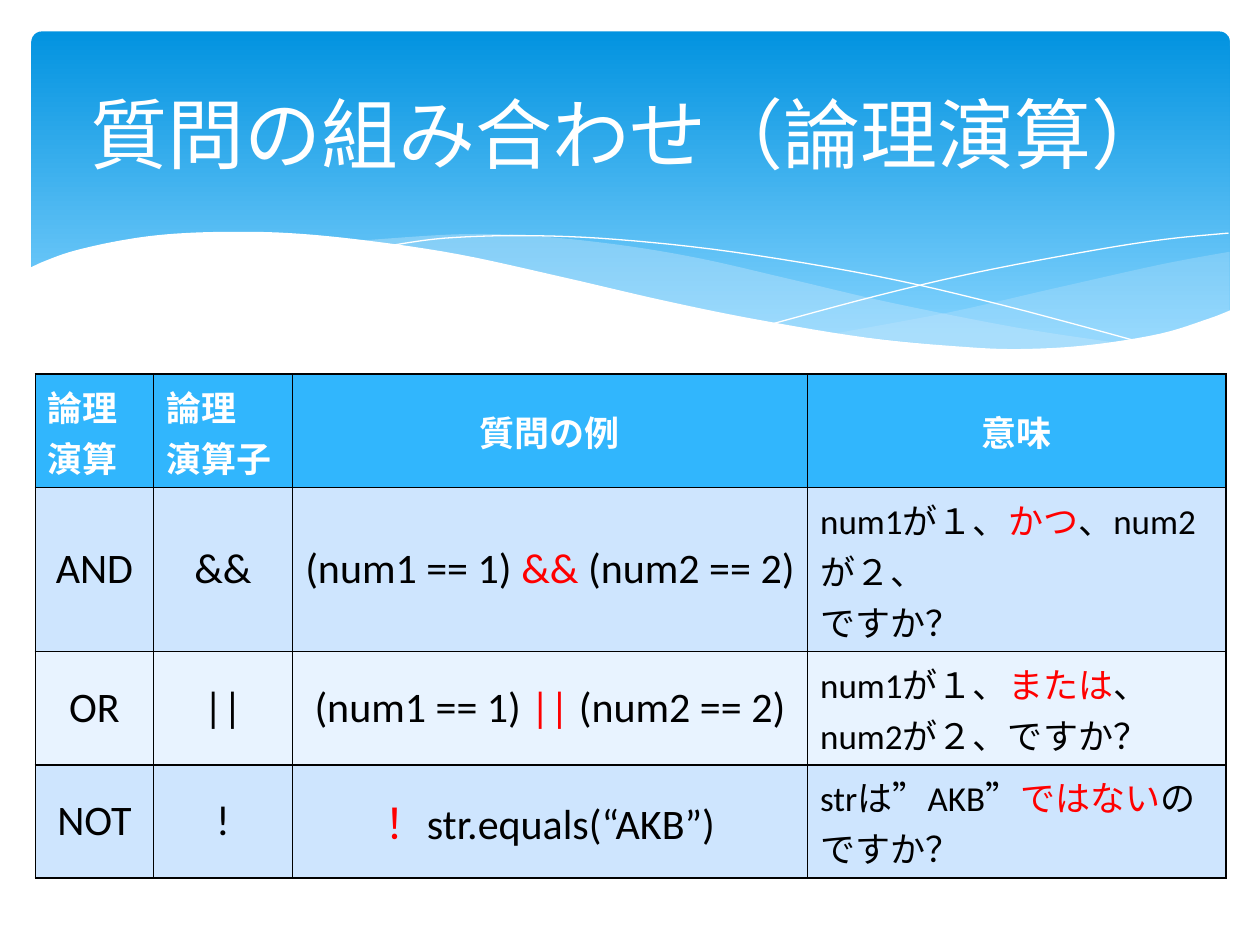
from dataclasses import dataclass
from typing import Optional

from lxml import etree
from pptx import Presentation
from pptx.dml import color
from pptx.enum import shapes, text
from pptx.oxml import ns
from pptx import util as u

PX = 9144
FONT = "Calibri"
WHITE, BLACK, RED = "FFFFFF", "000000", "FF0000"
HEADER, DARK_BAND, LIGHT_BAND = "31B6FD", "CEE5FE", "E8F3FF"
MIST = "C6E7FC"
STEPS = 6

Point = tuple[float, float]
Span = tuple[str, str]


@dataclass
class Wave:
    curves: list[list[Point]]
    fill: Optional[str] = None
    alpha: int = 100


@dataclass
class Entry:
    paras: list[list[Span]]
    size: int
    bold: bool = False
    centred: bool = True
    middle: bool = True


WAVES = [
    Wave([[(975, 200), (921, 210), (832, 230), (753, 248), (661, 265)],
          [(661, 265), (718, 271), (781, 277), (844, 277), (905, 269),
           (942, 259), (976, 247)],
          [(976, 247), (976, 200)]], MIST, 29),
    Wave([[(893, 273), (807, 260), (706, 240), (629, 222), (555, 205),
           (489, 194), (420, 187), (361, 186), (286, 191)],
          [(286, 191), (362, 203), (449, 222), (566, 248), (650, 264),
           (736, 275), (796, 279), (848, 278), (893, 273)]], MIST, 40),
    Wave([[(309, 195), (353, 189), (416, 187), (489, 190), (582, 200),
           (695, 219), (795, 242), (907, 272)]]),
    Wave([[(613, 257), (695, 235), (776, 216), (866, 199), (924, 190),
           (975, 185)]]),
    Wave([[(23, 213), (36, 207), (59, 199), (95, 191), (132, 186),
           (177, 184), (230, 185), (292, 191), (365, 202), (447, 220),
           (529, 239), (603, 254), (688, 268), (761, 275), (809, 277),
           (863, 274), (920, 265), (959, 253), (977, 246)],
          [(977, 246), (977, 329)], [(977, 329), (23, 329)]], WHITE),
]

COLUMNS = [94, 110, 409, 332]
ROWS = [90, 130, 90, 90]
BANDS = [HEADER, DARK_BAND, LIGHT_BAND, DARK_BAND]


def px(length: float) -> int:
    return round(length * PX)


def rgb(code: str) -> color.RGBColor:
    return color.RGBColor.from_string(code)


def smooth(points: list[Point]) -> list[Point]:
    if len(points) == 2:
        return points
    padded = [points[0], *points, points[-1]]
    result = [points[0]]
    for a, b, c, d in zip(padded, padded[1:], padded[2:], padded[3:]):
        for step in range(1, STEPS + 1):
            t = step / STEPS
            x, y = (
                (2 * q + (r - p) * t + (2 * p - 5 * q + 4 * r - s) * t ** 2
                 + (3 * q - p - 3 * r + s) * t ** 3) / 2
                for p, q, r, s in zip(a, b, c, d))
            result.append((x, y))
    return result


def draw_sky(page) -> None:
    sky = page.shapes.add_shape(shapes.MSO_SHAPE.ROUNDED_RECTANGLE,
                                px(25), px(25), px(951), px(270))
    sky.shadow.inherit = False
    sky.adjustments[0] = 0.03
    sky.line.fill.background()
    sky.fill.gradient()
    sky.fill.gradient_angle = 270
    stops = [(0, "0293E0"), (0.9, "83D3FE")]
    for stop, (position, code) in zip(sky.fill.gradient_stops, stops):
        stop.position = position
        stop.color.rgb = rgb(code)


def draw_wave(page, wave: Wave) -> None:
    points = [(px(x), px(y)) for curve in wave.curves for x, y in smooth(curve)]
    builder = page.shapes.build_freeform(*points[0], scale=1.0)
    builder.add_line_segments(points[1:], close=wave.fill is not None)
    shape = builder.convert_to_shape()
    shape.shadow.inherit = False
    if wave.fill is None:
        shape.fill.background()
        shape.line.color.rgb = rgb(WHITE)
        shape.line.width = u.Pt(0)
        return
    shape.line.fill.background()
    shape.fill.solid()
    shape.fill.fore_color.rgb = rgb(wave.fill)
    if wave.alpha < 100:
        tint = shape._element.spPr.find(".//" + ns.qn("a:srgbClr"))
        etree.SubElement(tint, ns.qn("a:alpha"), val=str(wave.alpha * 1000))


def write(frame, entry: Entry) -> None:
    for index, spans in enumerate(entry.paras):
        para = frame.add_paragraph() if index else frame.paragraphs[0]
        para.alignment = (text.PP_ALIGN.CENTER if entry.centred
                          else text.PP_ALIGN.LEFT)
        for words, code in spans:
            span = para.add_run()
            span.text = words
            span.font.name = FONT
            span.font.size = u.Pt(entry.size)
            span.font.bold = entry.bold
            span.font.color.rgb = rgb(code)


def draw_title(page) -> None:
    box = page.shapes.add_textbox(px(50), px(37), px(900), px(137))
    box.text_frame.word_wrap = True
    box.text_frame.vertical_anchor = text.MSO_ANCHOR.MIDDLE
    write(box.text_frame, Entry([[("質問の組み合わせ（論理演算）", WHITE)]], 44))


def heading(*lines: str) -> Entry:
    single = len(lines) == 1
    return Entry([[(line, WHITE)] for line in lines], 20, True, single, single)


def code_entry(*spans: Span) -> Entry:
    return Entry([list(spans)], 24)


def meaning(*paras: list[Span]) -> Entry:
    return Entry(list(paras), 20, centred=False, middle=False)


def comparison(operator: str) -> Entry:
    return code_entry(("(num1 == 1) ", BLACK), (operator, RED),
                      (" (num2 == 2)", BLACK))


def table_entries() -> list[list[Entry]]:
    return [
        [heading("論理", "演算"), heading("論理", "演算子"),
         heading("質問の例"), heading("意味")],
        [code_entry(("AND", BLACK)), code_entry(("&&", BLACK)), comparison("&&"),
         meaning([("num1が１、", BLACK), ("かつ", RED), ("、num2が２、", BLACK)],
                 [("ですか？", BLACK)])],
        [code_entry(("OR", BLACK)), code_entry(("||", BLACK)), comparison("||"),
         meaning([("num1が１、", BLACK), ("または", RED),
                  ("、num2が２、ですか？", BLACK)])],
        [code_entry(("NOT", BLACK)), code_entry(("!", BLACK)),
         code_entry(("！", RED), ("str.equals(“AKB”)", BLACK)),
         meaning([("strは”AKB”", BLACK), ("ではない", RED),
                  ("のですか？", BLACK)])],
    ]


def style_cell(cell, fill: str) -> None:
    properties = cell._tc.get_or_add_tcPr()
    for side in ("lnL", "lnR", "lnT", "lnB"):
        edge = etree.SubElement(properties, ns.qn("a:" + side), w=str(u.Pt(1)))
        paint = etree.SubElement(edge, ns.qn("a:solidFill"))
        etree.SubElement(paint, ns.qn("a:srgbClr"), val=BLACK)
    cell.fill.solid()
    cell.fill.fore_color.rgb = rgb(fill)


def draw_table(page) -> None:
    table = page.shapes.add_table(len(ROWS), len(COLUMNS), px(28), px(297),
                                  px(sum(COLUMNS)), px(sum(ROWS))).table
    table.first_row = table.horz_banding = False
    for column, width in zip(table.columns, COLUMNS):
        column.width = px(width)
    for row, height, fill, entries in zip(table.rows, ROWS, BANDS, table_entries()):
        row.height = px(height)
        for cell, entry in zip(row.cells, entries):
            style_cell(cell, fill)
            cell.vertical_anchor = (text.MSO_ANCHOR.MIDDLE if entry.middle
                                    else text.MSO_ANCHOR.TOP)
            write(cell.text_frame, entry)


def main() -> None:
    deck = Presentation()
    deck.slide_width, deck.slide_height = px(1000), px(750)
    page = deck.slides.add_slide(deck.slide_layouts[6])
    draw_sky(page)
    for wave in WAVES:
        draw_wave(page, wave)
    draw_title(page)
    draw_table(page)
    deck.save("out.pptx")


if __name__ == "__main__":
    main()
